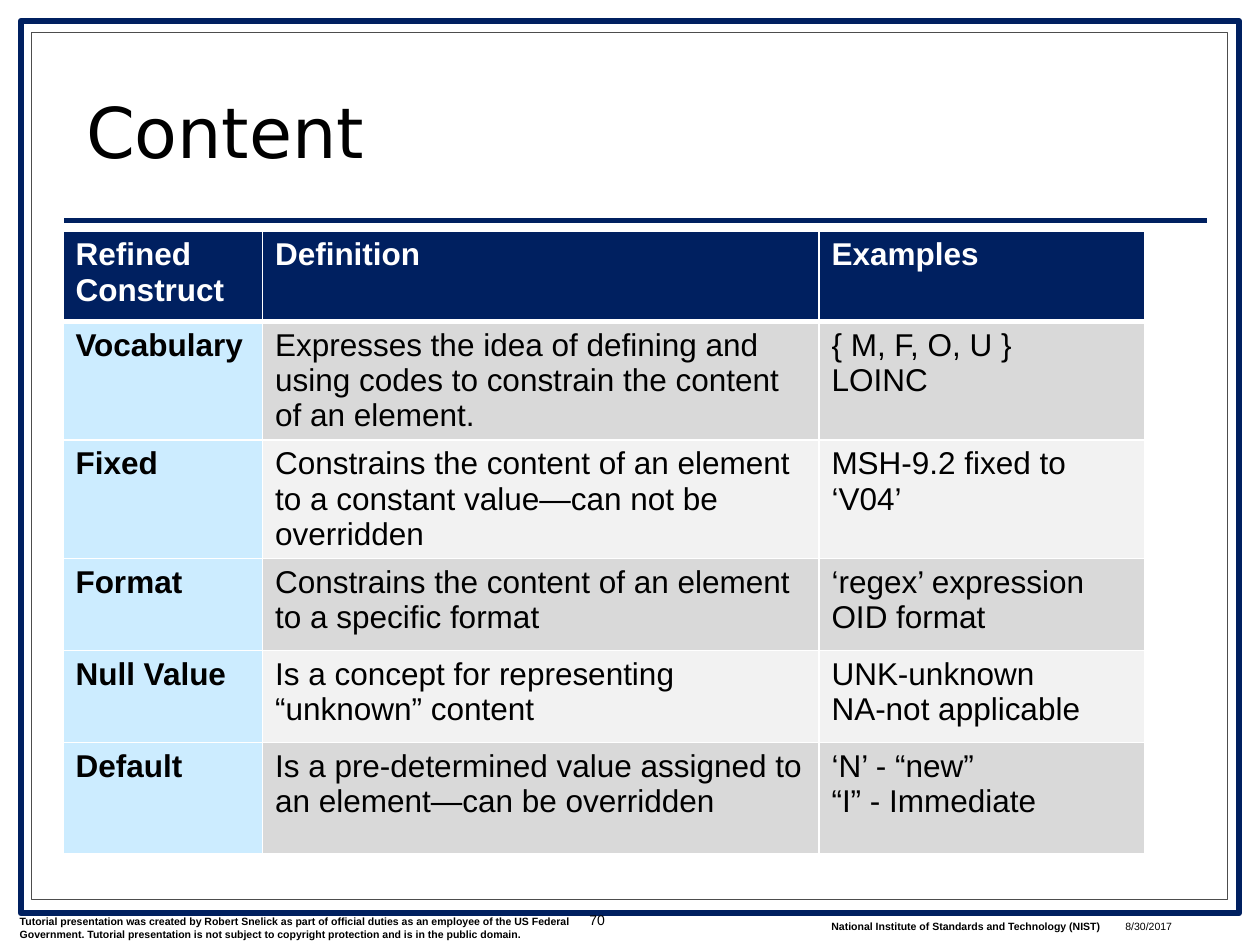
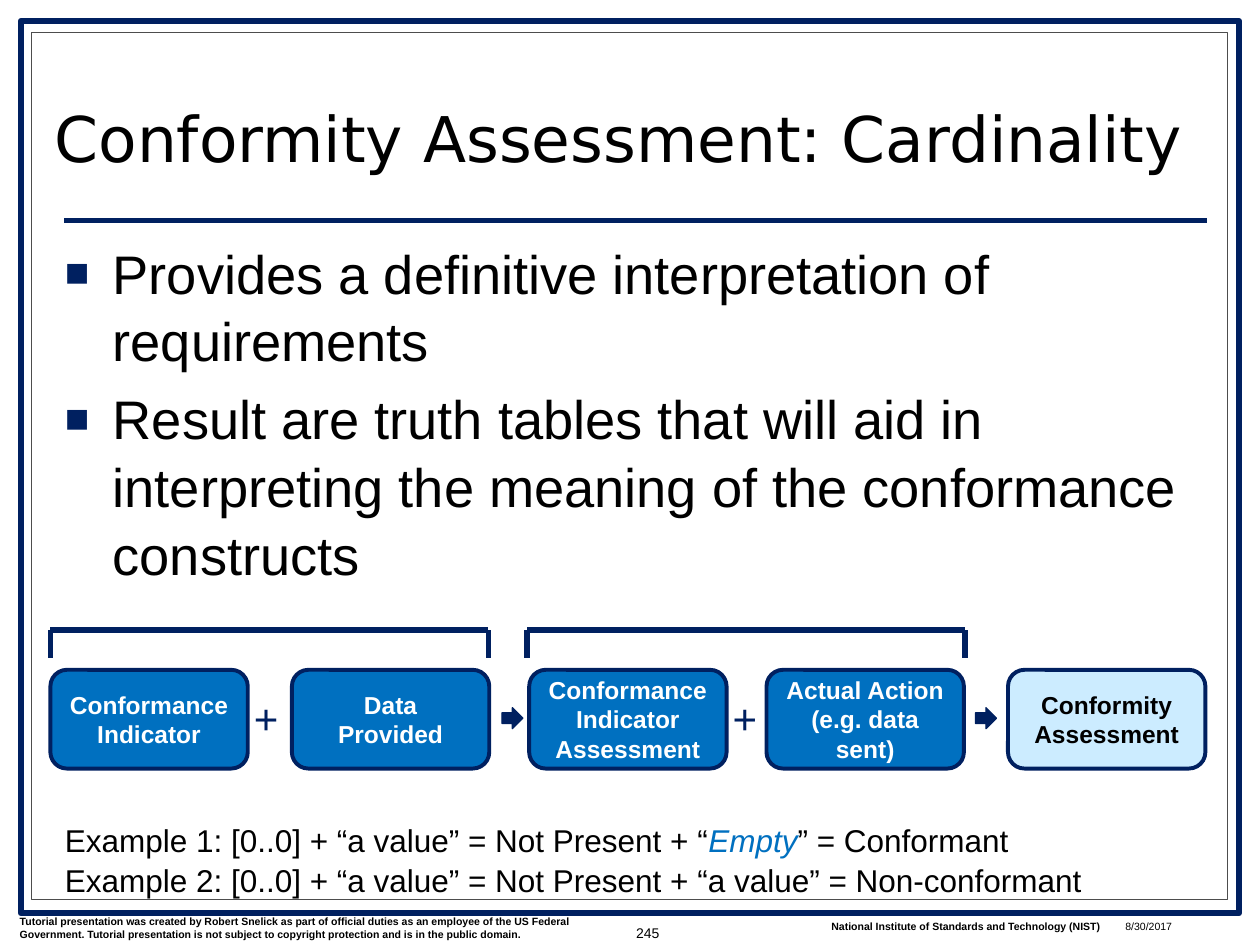
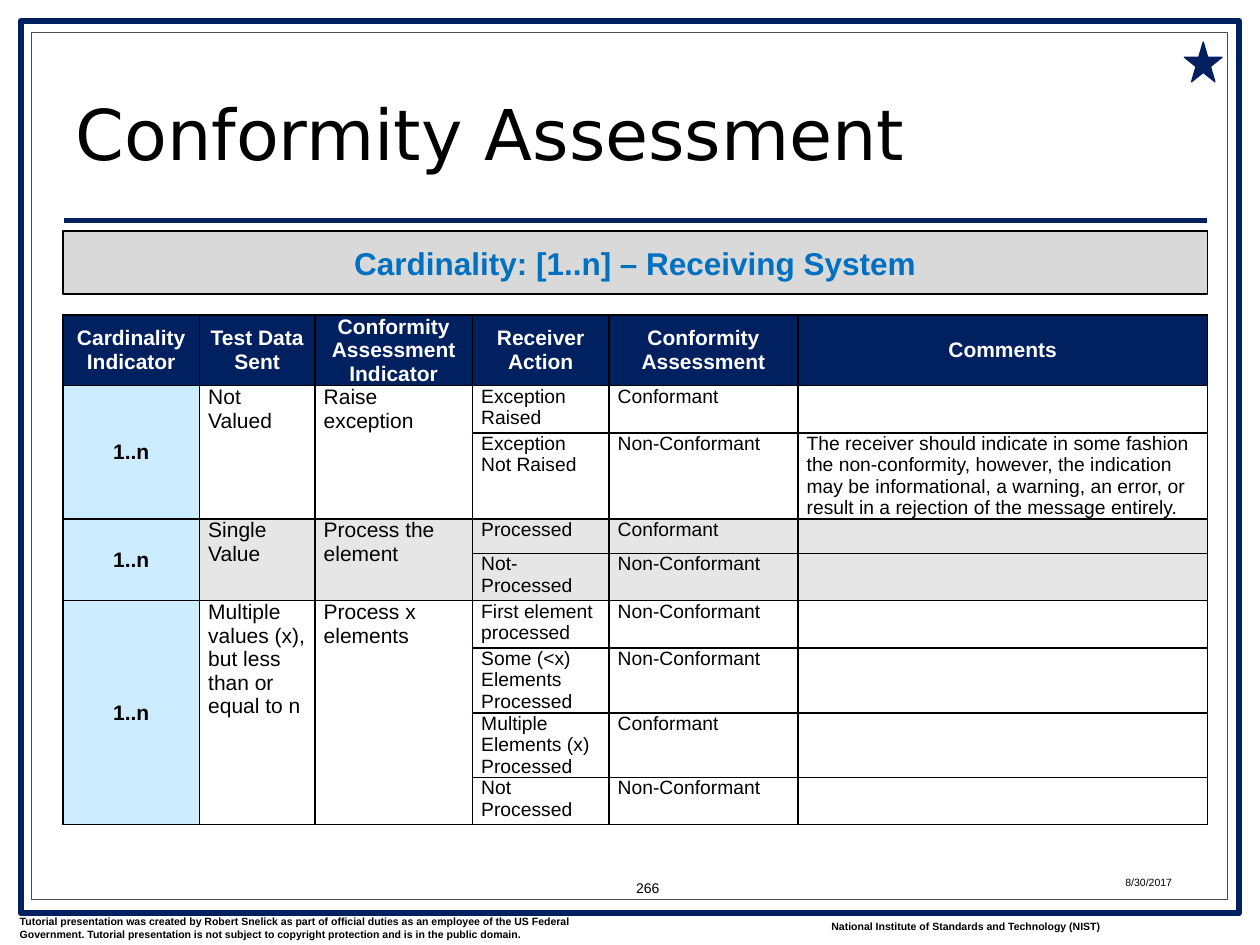
from lxml.etree import SubElement
from pptx import Presentation
from pptx.dml.color import RGBColor
from pptx.enum.shapes import MSO_CONNECTOR, MSO_SHAPE as Preset
from pptx.enum.text import MSO_ANCHOR as Anchor, PP_ALIGN as Align
from pptx.oxml import parse_xml
from pptx.oxml.ns import nsdecls, qn
from pptx.util import Inches, Pt

COLORS = {
    "navy": "002060", "blue": "0070C0", "sky": "CCECFF", "white": "FFFFFF",
    "black": "000000", "charcoal": "4D4D4D", "silver": "D9D9D9",
    "mist": "F2F2F2", "pearl": "E6E6E6",
}
TEXT_FONT, TITLE_FONT = "Arial", "DejaVu Sans"
COLUMNS, ROWS = 120, 90
DISCLAIMER = (
    "Tutorial presentation was created by Robert Snelick as part of official duties "
    "as an employee of the US Federal Government. Tutorial presentation is not "
    "subject to copyright protection and is in the public domain."
)
INSTITUTE = "National Institute of Standards and Technology (NIST)"

CONSTRUCTS = [
    ("Refined\nConstruct", "Definition", "Examples"),
    ("Vocabulary", "Expresses the idea of defining and using codes to constrain "
     "the content of an element.", "{ M, F, O, U }\nLOINC"),
    ("Fixed", "Constrains the content of an element to a constant value—can not be "
     "overridden", "MSH-9.2 fixed to ‘V04’"),
    ("Format", "Constrains the content of an element to a specific format",
     "‘regex’ expression\nOID format"),
    ("Null Value", "Is a concept for representing “unknown” content",
     "UNK-unknown\nNA-not applicable"),
    ("Default", "Is a pre-determined value assigned to an element—can be overridden",
     "‘N’ - “new”\n“I” - Immediate"),
]
ASSESSMENT_HEADINGS = [
    "Cardinality Indicator", "Test Data Sent", "Conformity Assessment Indicator",
    "Receiver Action", "Conformity Assessment", "Comments",
]
REJECTION_COMMENT = (
    "The receiver should indicate in some fashion the non-conformity, however, the "
    "indication may be informational, a warning, an error, or result in a rejection "
    "of the message entirely."
)
ASSESSMENTS = [
    ("Not Valued", "Raise exception", "white", [
        ("Exception Raised", "Conformant", ""),
        ("Exception Not Raised", "Non-Conformant", REJECTION_COMMENT)]),
    ("Single Value", "Process the element", "pearl", [
        ("Processed", "Conformant", ""),
        ("Not- Processed", "Non-Conformant", "")]),
    ("Multiple values (x), but less than or equal to n", "Process x elements", "white", [
        ("First element processed", "Non-Conformant", ""),
        ("Some (<x) Elements Processed", "Non-Conformant", ""),
        ("Multiple Elements (x) Processed", "Conformant", ""),
        ("Not Processed", "Non-Conformant", "")]),
]
STAGES = [
    (0, "Conformance Indicator", "blue", "white"),
    (23, "Data Provided", "blue", "white"),
    (45.6, "Conformance Indicator Assessment", "blue", "white"),
    (68.2, "Actual Action\n(e.g. data sent)", "blue", "white"),
    (91.2, "Conformity Assessment", "sky", "black"),
]


def rgb(name):
    """Return the named palette colour."""
    return RGBColor.from_string(COLORS[name])


def grid(*counts):
    """Convert grid cells, twelve to the inch, to lengths."""
    return [Inches(count / 12) for count in counts]


def style(paragraph, size, color="black", bold=False, align=Align.LEFT, font=TEXT_FONT):
    """Format a whole paragraph."""
    paragraph.alignment = align
    paragraph.font.name = font
    paragraph.font.size = Pt(size)
    paragraph.font.bold = bold
    paragraph.font.color.rgb = rgb(color)


def write(frame, text, size, **look):
    """Fill a text frame with one paragraph per line of text."""
    frame.text = text
    for paragraph in frame.paragraphs:
        style(paragraph, size, **look)


def add_text(slide, box, text, size, anchor=Anchor.TOP, wrap=True, **look):
    """Add a text box and return its frame."""
    frame = slide.shapes.add_textbox(*grid(*box)).text_frame
    frame.word_wrap = wrap
    frame.vertical_anchor = anchor
    write(frame, text, size, **look)
    return frame


def add_block(slide, preset, box, fill, line, weight):
    """Add a filled and outlined preset shape."""
    block = slide.shapes.add_shape(preset, *grid(*box))
    block.shadow.inherit = False
    block.fill.solid()
    block.fill.fore_color.rgb = rgb(fill)
    block.line.color.rgb = rgb(line)
    block.line.width = Pt(weight)
    return block


def add_label_block(slide, preset, box, text, size, fill, color, line, weight):
    """Add a block with bold centred text."""
    frame = add_block(slide, preset, box, fill, line, weight).text_frame
    frame.word_wrap = True
    frame.vertical_anchor = Anchor.MIDDLE
    write(frame, text, size, color=color, bold=True, align=Align.CENTER)


def add_rule(shapes, *ends):
    """Add a heavy navy line between two grid points."""
    rule = shapes.add_connector(MSO_CONNECTOR.STRAIGHT, *grid(*ends))
    rule.line.color.rgb = rgb("navy")
    rule.line.width = Pt(3)
    SubElement(rule.element.spPr, qn("a:effectLst"))


def add_page(deck, title, title_box, title_size, number, number_at, date_top=87):
    """Add a slide with its frame, title and footers."""
    slide = deck.slides.add_slide(deck.slide_layouts[5])
    add_block(slide, Preset.RECTANGLE, (2, 2, 116, 85), "white", "navy", 3.5)
    add_block(slide, Preset.RECTANGLE, (3, 3.1, 113.9, 82.6), "white", "charcoal", 0.75)
    add_rule(slide.shapes, 6.1, 21, 115, 21)
    add_text(slide, (0.7, 86.6, 58, 3.6), DISCLAIMER, 6, bold=True)
    add_text(slide, (78, 87, 28.5, 2.4), INSTITUTE, 6, bold=True)
    add_text(slide, (106, date_top, 11, 2), "8/30/2017", 6)
    add_text(slide, (*number_at, 7, 6.2), number, 8, Anchor.MIDDLE, align=Align.RIGHT)

    heading = slide.shapes.title
    heading.element.getparent().append(heading.element)
    heading.left, heading.top, heading.width, heading.height = grid(*title_box)
    heading.text_frame.vertical_anchor = Anchor.BOTTOM
    write(heading.text_frame, title, title_size, font=TITLE_FONT)
    heading.text_frame.paragraphs[0].line_spacing = 0.8
    return slide


def set_borders(cell, color, **weights):
    """Draw the four borders of a cell, 1 point unless a weight is given."""
    properties = cell._tc.get_or_add_tcPr()
    for position, side in enumerate("LRTB"):
        width = Pt(weights.get(side, 1))
        properties.insert(position, parse_xml(
            f'<a:ln{side} {nsdecls("a")} w="{width}"><a:solidFill>'
            f'<a:srgbClr val="{COLORS[color]}"/></a:solidFill></a:ln{side}>'))


def add_grid_table(slide, left, top, widths, heights):
    """Add a table with the given column widths and row heights."""
    table = slide.shapes.add_table(
        len(heights), len(widths), *grid(left, top, sum(widths), sum(heights))).table
    for column, width in zip(table.columns, grid(*widths)):
        column.width = width
    for row, height in zip(table.rows, grid(*heights)):
        row.height = height
    return table


def fill_cell(cell, text, size, fill, **look):
    """Set the text and the fill of a cell."""
    write(cell.text_frame, text, size, **look)
    cell.fill.solid()
    cell.fill.fore_color.rgb = rgb(fill)


def add_construct_table(slide, left, top):
    """Tabulate the refined constructs."""
    table = add_grid_table(slide, left, top, (19, 53, 31),
                           (8.6, 11.3, 11.3, 8.75, 8.75, 10.6))
    for row, texts in enumerate(CONSTRUCTS):
        for column, text in enumerate(texts):
            cell = table.cell(row, column)
            if row == 0:
                fill = "navy"
            elif column == 0:
                fill = "sky"
            else:
                fill = "silver" if row % 2 else "mist"
            fill_cell(cell, text, 18, fill, bold=row == 0 or column == 0,
                      color="black" if row else "white")
            set_borders(cell, "white", B=1 if row else 3, T=3 if row == 1 else 1)


def add_assessment_table(slide, left, top):
    """Tabulate the receiver actions of each cardinality case."""
    table = add_grid_table(slide, left, top, (13, 11, 15, 13, 18, 39),
                           (6.7, 4.5, 8.2, 3.3, 4.5, 4.5, 6.2, 6.1, 4.5))
    for cell in table.iter_cells():
        cell.margin_left = cell.margin_right = Inches(0.07)
        cell.margin_top = cell.margin_bottom = 0
    for column, heading in enumerate(ASSESSMENT_HEADINGS):
        fill_cell(table.cell(0, column), heading, 12, "navy", color="white",
                  bold=True, align=Align.CENTER)
        table.cell(0, column).vertical_anchor = Anchor.MIDDLE

    first = 1
    for sent, indicator, fill, outcomes in ASSESSMENTS:
        for row, outcome in enumerate(outcomes, first):
            for column, text in enumerate(outcome, 3):
                fill_cell(table.cell(row, column), text, 11, fill)
        last = first + len(outcomes) - 1
        for column in range(3):
            table.cell(first, column).merge(table.cell(last, column))
        cardinality = table.cell(first, 0)
        fill_cell(cardinality, "1..n", 12, "sky", bold=True, align=Align.CENTER)
        cardinality.vertical_anchor = Anchor.MIDDLE
        fill_cell(table.cell(first, 1), sent, 12, fill)
        fill_cell(table.cell(first, 2), indicator, 12, fill)
        first = last + 1
    for cell in table.iter_cells():
        set_borders(cell, "black")


def add_bullets(slide, box, points):
    """Add the square-bulleted statements."""
    frame = add_text(slide, box, "\n".join(points), 31)
    for position, paragraph in enumerate(frame.paragraphs):
        paragraph.line_spacing = 1.04
        paragraph.space_before = Pt(6 if position else 0)
        properties = paragraph._p.get_or_add_pPr()
        properties.set("marL", str(Inches(0.38)))
        properties.set("indent", str(-Inches(0.38)))
        bullet = parse_xml(
            f'<a:pPr {nsdecls("a")}><a:buClr><a:srgbClr val="{COLORS["navy"]}"/></a:buClr>'
            '<a:buSzPct val="75000"/><a:buFont typeface="Arial"/><a:buChar char="■"/></a:pPr>')
        defaults = properties.find(qn("a:defRPr"))
        for part in list(bullet):
            defaults.addprevious(part)


def add_bracket(slide, left, top, width, drop):
    """Add a bracket that opens downwards."""
    bracket = slide.shapes.add_group_shape().shapes
    add_rule(bracket, left, top, left + width, top)
    for stem in (left, left + width):
        add_rule(bracket, stem, top, stem, top + drop)


def add_flow(slide, left, top):
    """Chain the stages from indicator to conformity assessment."""
    for offset in (0, 45.4):
        add_bracket(slide, left + offset, top, 41.7, 2.7)
    for offset, text, fill, color in STAGES:
        add_label_block(slide, Preset.ROUNDED_RECTANGLE,
                        (left + offset, top + 3.8, 18.8, 9.4),
                        text, 14, fill, color, "navy", 2.25)
    for offset in (18.2, 63.8):
        add_text(slide, (left + offset, top + 5.4, 4.8, 6), "+", 24,
                 wrap=False, color="navy")
    for offset in (43, 88.1):
        add_block(slide, Preset.RIGHT_ARROW, (left + offset, top + 7.4, 2, 2),
                  "navy", "navy", 0.75)


def add_examples(slide, box):
    """Add the two worked examples."""
    frame = add_text(slide, box, "\n", 18)
    conformant, failing = frame.paragraphs
    for text in ("Example 1: [0..0] + “a value” = Not Present + “", "Empty",
                 "” = Conformant"):
        run = conformant.add_run()
        run.text = text
        if text == "Empty":
            run.font.italic = True
            run.font.color.rgb = rgb("blue")
    failing.add_run().text = ("Example 2: [0..0] + “a value” = Not Present + "
                              "“a value” = Non-conformant")
    for paragraph in frame.paragraphs:
        paragraph.line_spacing = 1.06


def build_content(deck):
    """Build the slide on content constructs."""
    slide = add_page(deck, "Content", (7, 6.2, 107, 10.8), 40, "70", (51.8, 84.5))
    add_construct_table(slide, 6, 22)


def build_cardinality(deck):
    """Build the slide on how cardinality is assessed."""
    slide = add_page(deck, "Conformity Assessment: Cardinality",
                     (4, 6.4, 112, 10.8), 36, "245", (57, 85.8))
    add_bullets(slide, (5, 22, 111, 36.5), [
        "Provides a definitive interpretation of requirements",
        "Result are truth tables that will aid in interpreting the meaning of the "
        "conformance constructs"])
    add_flow(slide, 4.8, 60)
    add_examples(slide, (5, 77.4, 104, 8.5))


def build_receiver(deck):
    """Build the slide on assessing a receiving system."""
    slide = add_page(deck, "Conformity Assessment", (6, 6.4, 107, 10.8), 40,
                     "266", (57, 81.5), date_top=82.8)
    add_assessment_table(slide, 6, 30)
    add_label_block(slide, Preset.RECTANGLE, (6, 22, 109, 6),
                    "Cardinality: [1..n] – Receiving System", 18,
                    "silver", "blue", "black", 0.75)
    add_block(slide, Preset.STAR_5_POINT, (112.8, 4, 3.6, 3.8), "navy", "navy", 0.75)


def main():
    """Build and save the deck."""
    deck = Presentation()
    deck.slide_width, deck.slide_height = grid(COLUMNS, ROWS)
    build_content(deck)
    build_cardinality(deck)
    build_receiver(deck)
    deck.save("out.pptx")


if __name__ == "__main__":
    main()
